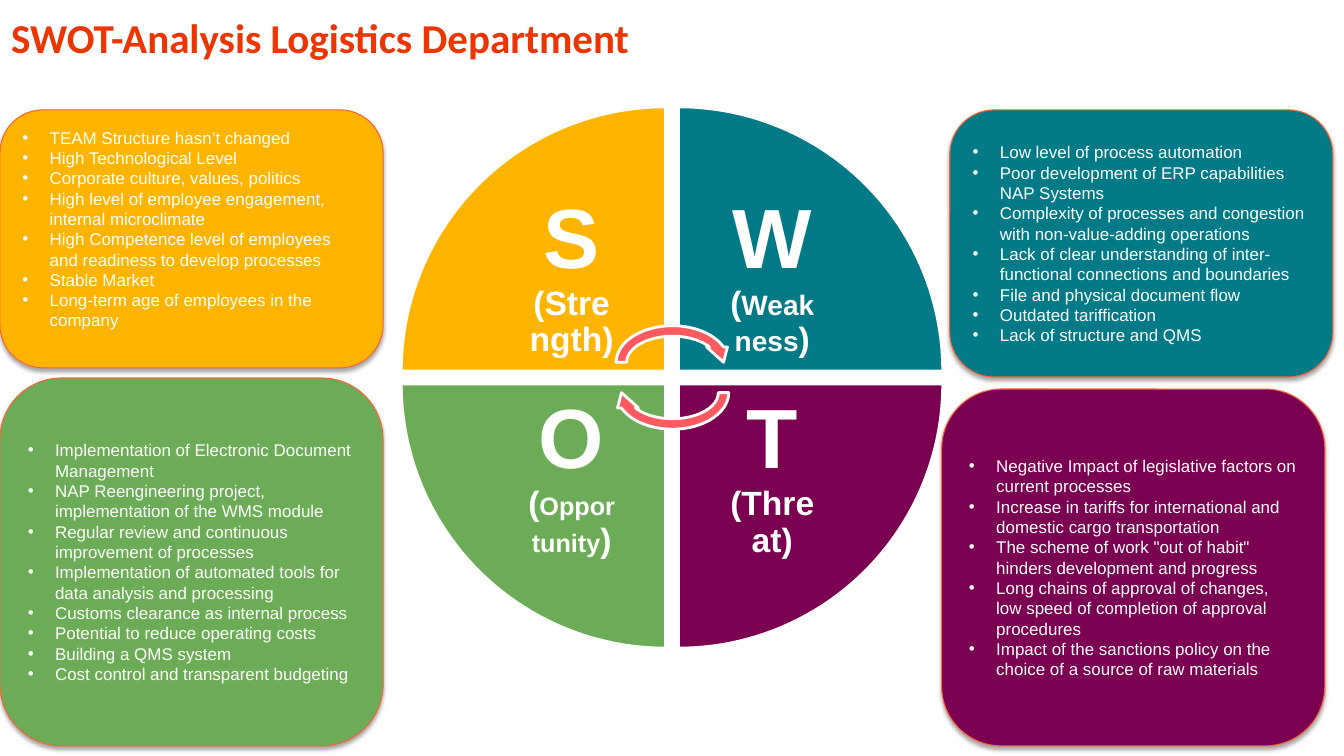
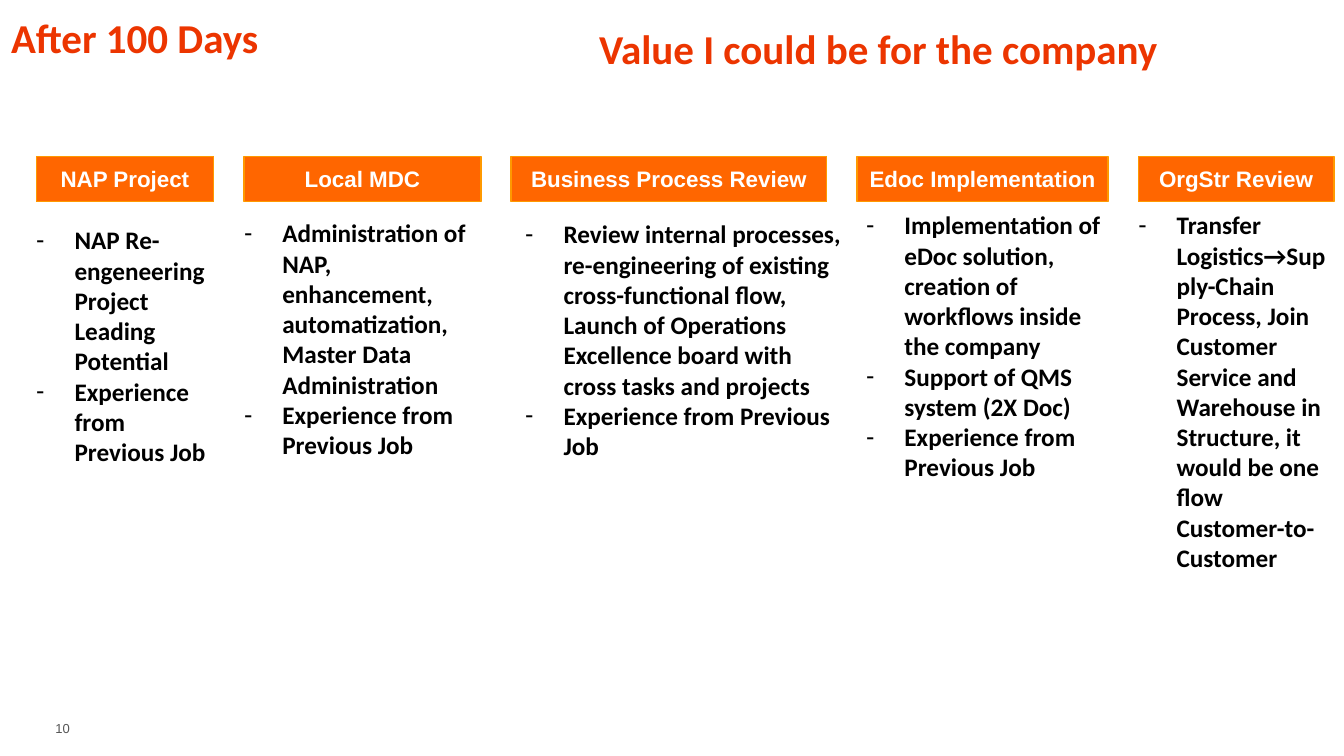
from lxml.etree import SubElement
from pptx import Presentation
from pptx.dml.color import RGBColor
from pptx.enum.shapes import MSO_SHAPE as Shape
from pptx.enum.text import MSO_ANCHOR as Anchor, MSO_AUTO_SIZE as AutoSize, PP_ALIGN as Align
from pptx.oxml import parse_xml
from pptx.oxml.ns import nsdecls, qn
from pptx.util import Inches, Pt

WHITE = RGBColor(0xFF, 0xFF, 0xFF)
BLACK = RGBColor(0, 0, 0)
GRAY = RGBColor(0x55, 0x55, 0x55)
RED = RGBColor(0xEC, 0x35, 0x00)
YELLOW = RGBColor(0xFF, 0xB4, 0x00)
TEAL = RGBColor(0x00, 0x7A, 0x87)
GREEN = RGBColor(0x6C, 0xAC, 0x57)
PURPLE = RGBColor(0x7B, 0x00, 0x51)
CORAL = RGBColor(0xFF, 0x5A, 0x5F)
CARD_EDGE = RGBColor(0xFE, 0x63, 0x36)
ORANGE = RGBColor(0xFF, 0x66, 0x00)
ORANGE_EDGE = RGBColor(0xFF, 0x99, 0x00)

TITLE = dict(name="Calibri", size=Pt(29.3), bold=True, color=RED)
CARD_TEXT = dict(name="Arial", size=Pt(12.1), color=WHITE)
LETTER = dict(name="Arial", size=Pt(60), bold=True, color=WHITE)
HEADING = dict(name="Arial", size=Pt(16), bold=True, color=WHITE)
COLUMN_TEXT = dict(name="Calibri", size=Pt(18), bold=True, color=BLACK)
PAGE_NUMBER = dict(name="Arial", size=Pt(9.3), color=GRAY)

TITLE_BOX = (0.11, 0.12, 11.63, 0.78)
SUBTITLE_BOX = (-0.15, 0.23, 11.63, 0.78)

SWOT = [
    dict(color=YELLOW, row=0, col=0, letter="S ", word=[("(Strength)", 24)],
         card=(0, 1.09, 3.8, 2.56), bottom=0.25, points=[
             "TEAM Structure hasn’t changed",
             "High Technological Level",
             "Corporate culture, values, politics",
             "High level of employee engagement, internal microclimate",
             "High Competence level of employees and readiness to develop processes",
             "Stable Market",
             "Long-term age of employees in the company"]),
    dict(color=TEAL, row=0, col=1, letter="W ", word=[("(", 24), ("Weakness", 20), (")", 24)],
         card=(9.42, 1.09, 3.8, 2.65), bottom=0.05, points=[
             "Low level of process automation",
             "Poor development of ERP capabilities NAP Systems",
             "Complexity of processes and congestion with non-value-adding operations",
             "Lack of clear understanding of inter-functional connections and boundaries",
             "File and physical document flow",
             "Outdated tariffication",
             "Lack of structure and QMS"]),
    dict(color=PURPLE, row=1, col=1, letter="T ", word=[("(Threat)", 24)],
         card=(9.34, 3.86, 3.8, 3.54), bottom=0.05, points=[
             "Negative Impact of legislative factors on current processes",
             "Increase in tariffs for international and domestic cargo transportation",
             'The scheme of work "out of habit" hinders development and progress',
             "Long chains of approval of changes, low speed of completion of approval procedures",
             "Impact of the sanctions policy on the choice of a source of raw materials"]),
    dict(color=GREEN, row=1, col=0, letter="O ", word=[("(", 24), ("Opportunity", 18), (")", 24)],
         card=(0, 3.75, 3.8, 3.65), bottom=0.05, points=[
             "Implementation of Electronic Document Management",
             "NAP Reengineering project, implementation of the WMS module",
             "Regular review and continuous improvement of processes",
             "Implementation of automated tools for data analysis and processing",
             "Customs clearance as internal process",
             "Potential to reduce operating costs",
             "Building a QMS system",
             "Cost control and transparent budgeting"]),
]
WHEEL_LEFT, WHEEL_TOP, WEDGE, WHEEL_STEP, LABEL = 3.98, 1.06, 2.62, 2.75, 1.86
CYCLE_ARROWS = [(3.18, 0), (3.48, 180)]

EXPERIENCE = "Experience from Previous Job"
INITIATIVES = [
    ("NAP Project", 1.76, (0, 2.23, 1.76, 3.27),
     ["NAP Re-engeneering Project Leading Potential", EXPERIENCE]),
    ("Local MDC", 2.35, (0, 2.16, 2.35, 2.72),
     ["Administration of NAP, enhancement, automatization, Master Data Administration", EXPERIENCE]),
    ("Business Process Review", 3.13, (0.14, 2.17, 3.13, 3.17),
     ["Review internal processes, re-engineering of existing cross-functional flow, "
      "Launch of Operations Excellence board with cross tasks and projects", EXPERIENCE]),
    ("Edoc Implementation", 2.49, (0.09, 2.08, 2.39, 3.17),
     ["Implementation of eDoc solution, creation of workflows inside the company",
      "Support of QMS system (2X Doc)", EXPERIENCE]),
    ("OrgStr Review", 1.94, (0, 2.08, 1.94, 3.87),
     ["Transfer Logistics→Supply-Chain Process, Join Customer Service and Warehouse in "
      "Structure, it would be one flow Customer-to-Customer"]),
]
COLUMNS_LEFT, COLUMN_GAP, HEADING_TOP, HEADING_HEIGHT = 0.36, 0.3, 1.55, 0.45


def style(font, formats):
    for key, value in formats.items():
        if key == "color":
            font.color.rgb = value
        else:
            setattr(font, key, value)


def add_run(paragraph, text, formats):
    run = paragraph.add_run()
    run.text = text
    style(run.font, formats)


def set_frame(frame, inset=None, **formats):
    settings = dict(word_wrap=True, auto_size=AutoSize.NONE)
    if inset is not None:
        for side in ("left", "top", "right", "bottom"):
            settings[f"margin_{side}"] = Inches(inset)
    for key, value in {**settings, **formats}.items():
        setattr(frame, key, value)
    return frame


def write(frame, lines, formats, align=Align.LEFT, bullet=None, indent=0):
    for index, line in enumerate(lines):
        paragraph = frame.add_paragraph() if index else frame.paragraphs[0]
        paragraph.alignment = align
        add_run(paragraph, line, formats)
        if bullet:
            properties = paragraph._p.get_or_add_pPr()
            properties.set("marL", str(Inches(indent)))
            properties.set("indent", str(-Inches(indent)))
            SubElement(properties, qn("a:buFont")).set("typeface", "Arial")
            SubElement(properties, qn("a:buChar")).set("char", bullet)


def add_text(slide, box, inset=0, anchor=Anchor.TOP):
    frame = slide.shapes.add_textbox(*map(Inches, box)).text_frame
    return set_frame(frame, inset, vertical_anchor=anchor)


def add_block(slide, kind, box, fill, edge, width, rotation=0):
    block = slide.shapes.add_shape(kind, *map(Inches, box))
    block.shadow.inherit = False
    block.fill.solid()
    block.fill.fore_color.rgb = fill
    block.line.color.rgb = edge
    block.line.width = Pt(width)
    block.rotation = rotation
    return block


def drop_shadow(block):
    block._element.spPr.find(qn("a:effectLst")).append(parse_xml(
        f'<a:outerShdw {nsdecls("a")} blurRad="{Pt(3.1)}" dist="{Pt(1.8)}" dir="5400000" '
        'rotWithShape="0"><a:srgbClr val="000000"><a:alpha val="35000"/></a:srgbClr></a:outerShdw>'))


def add_titled_slide(deck, text):
    slide = deck.slides.add_slide(deck.slide_layouts[5])
    title = slide.shapes.title
    title.left, title.top, title.width, title.height = map(Inches, TITLE_BOX)
    write(set_frame(title.text_frame, 0, vertical_anchor=Anchor.TOP), [text], TITLE)
    return slide


def build_swot(deck):
    slide = add_titled_slide(deck, "SWOT-Analysis Logistics Department")
    for turn, part in enumerate(SWOT):
        left = WHEEL_LEFT + part["col"] * WHEEL_STEP
        top = WHEEL_TOP + part["row"] * WHEEL_STEP
        add_block(slide, Shape.PIE_WEDGE, (left, top, WEDGE, WEDGE), part["color"], WHITE, 2, 90 * turn)
        label_left = left + (1 - part["col"]) * (WEDGE - LABEL)
        label_top = top + (1 - part["row"]) * (WEDGE - LABEL)
        label = add_text(slide, (label_left, label_top, LABEL, LABEL), 0.47, Anchor.MIDDLE)
        write(label, [part["letter"]], LETTER, Align.CENTER)
        paragraph = label.paragraphs[0]
        paragraph.line_spacing = 0.9
        for text, size in part["word"]:
            add_run(paragraph, text, {**LETTER, "size": Pt(size)})
    for top, rotation in CYCLE_ARROWS:
        add_block(slide, Shape.CIRCULAR_ARROW, (6.06, top, 1.22, 0.83), CORAL, WHITE, 2, rotation)
    for part in SWOT:
        card = add_block(slide, Shape.ROUNDED_RECTANGLE, part["card"], part["color"], CARD_EDGE, 0.75)
        drop_shadow(card)
        frame = set_frame(card.text_frame, vertical_anchor=Anchor.MIDDLE,
                          margin_bottom=Inches(part["bottom"]))
        write(frame, part["points"], CARD_TEXT, bullet="•", indent=0.27)


def build_value(deck):
    slide = add_titled_slide(deck, "After 100 Days")
    write(add_text(slide, SUBTITLE_BOX), ["Value I could be for the company"], TITLE, Align.RIGHT)
    left = COLUMNS_LEFT
    for name, width, (shift, top, text_width, height), points in INITIATIVES:
        heading = add_block(slide, Shape.FLOWCHART_PROCESS,
                            (left, HEADING_TOP, width, HEADING_HEIGHT), ORANGE, ORANGE_EDGE, 1)
        frame = set_frame(heading.text_frame, word_wrap=False, vertical_anchor=Anchor.MIDDLE)
        write(frame, [name], HEADING, Align.CENTER)
        column = add_text(slide, (left + shift, top, text_width, height))
        write(column, points, COLUMN_TEXT, bullet="-", indent=0.38)
        left += width + COLUMN_GAP
    write(add_text(slide, (0.55, 7.08, 0.58, 0.29), anchor=Anchor.MIDDLE), ["10"], PAGE_NUMBER)


def main():
    deck = Presentation()
    deck.slide_width, deck.slide_height = Inches(13.33), Inches(7.5)
    build_swot(deck)
    build_value(deck)
    deck.save("out.pptx")


if __name__ == "__main__":
    main()
